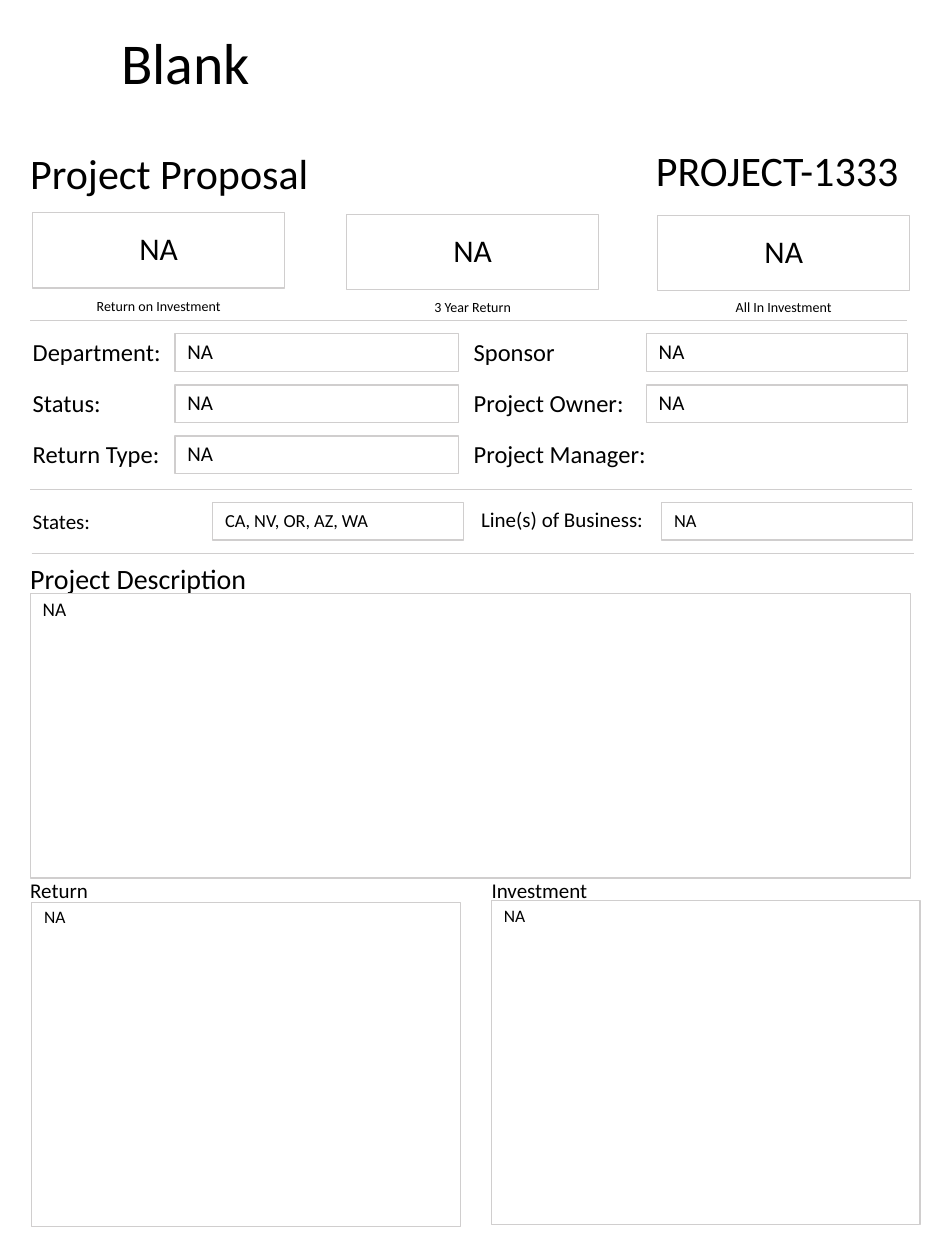
from lxml.etree import SubElement
from pptx import Presentation
from pptx.dml.color import RGBColor
from pptx.enum.shapes import MSO_CONNECTOR, MSO_SHAPE
from pptx.enum.text import MSO_ANCHOR, PP_ALIGN
from pptx.oxml.ns import qn
from pptx.util import Cm, Pt

COLORS = {"text": "000000", "border": "D0CECE"}
FONT = "Calibri"

TITLE = "Blank"
PROPOSAL, PROJECT_CODE = "Project Proposal", "PROJECT-1333"

# caption, value, left, top, caption top
METRICS = [
    ("Return on Investment", "NA", 0.66, 4.29, 5.87),
    ("3 Year Return", "NA", 6.99, 4.32, 5.89),
    ("All In Investment", "NA", 13.26, 4.34, 5.89),
]
# label left, field left, field width, rows of label and value
DETAILS = [
    (0.66, 3.53, 5.72, [("Department:", "NA"), ("Status:", "NA"), ("Return Type:", "NA")]),
    (9.55, 13.03, 5.26, [("Sponsor", "NA"), ("Project Owner:", "NA"), ("Project Manager:", None)]),
]
# label, label left, label top, value, field left
SCOPES = [
    ("States:", 0.66, 10.26, "CA, NV, OR, AZ, WA", 4.29),
    ("Line(s) of Business:", 9.7, 10.21, "NA", 13.34),
]
# heading, heading size, heading left, heading top, value, value size, field box
SECTIONS = [
    ("Project Description", 16, 0.61, 11.33, "NA", 11, (0.61, 11.96, 17.75, 5.74)),
    ("Return", 12, 0.61, 17.7, "NA", 10, (0.64, 18.19, 8.64, 6.53)),
    ("Investment", 12, 9.91, 17.7, "NA", 10, (9.91, 18.16, 8.64, 6.53)),
]
# left, right, top
DIVIDERS = [(0.61, 18.29, 6.45), (0.61, 18.39, 9.86), (0.64, 18.42, 11.15)]

DETAIL_TOP, DETAIL_PITCH, LABEL_DROP = 6.73, 1.03, 0.07
FIELD_HEIGHT, LABEL_WIDTH = 0.76, 3.81
METRIC_WIDTH, METRIC_HEIGHT = 5.08, 1.52


def write(shape, text, size, align=PP_ALIGN.LEFT, anchor=MSO_ANCHOR.TOP, inset=True, spacing=0.9):
    """Fill a shape with one formatted paragraph."""
    frame = shape.text_frame
    frame.text = text
    frame.word_wrap = True
    frame.vertical_anchor = anchor
    frame.margin_left = frame.margin_right = Cm(0.25 if inset else 0)
    frame.margin_top = frame.margin_bottom = Cm(0.13 if inset else 0)
    paragraph = frame.paragraphs[0]
    paragraph.alignment = align
    paragraph.line_spacing = spacing
    font = paragraph.runs[0].font
    font.name, font.size = FONT, Pt(size)
    font.color.rgb = RGBColor.from_string(COLORS["text"])


def add_label(slide, text, box, size, **style):
    """Add plain text in a box given in centimetres."""
    label = slide.shapes.add_textbox(*map(Cm, box))
    write(label, text, size, **{"inset": False, "spacing": 1.0, **style})


def add_field(slide, text, box, size, **style):
    """Add an outlined field in a box given in centimetres."""
    field = slide.shapes.add_shape(MSO_SHAPE.RECTANGLE, *map(Cm, box))
    field.shadow.inherit = False
    field.fill.background()
    field.line.color.rgb = RGBColor.from_string(COLORS["border"])
    field.line.width = Pt(0.75)
    write(field, text, size, **style)


def add_divider(slide, left, right, top):
    """Add a thin horizontal rule."""
    divider = slide.shapes.add_connector(MSO_CONNECTOR.STRAIGHT, Cm(left), Cm(top), Cm(right), Cm(top))
    divider.line.color.rgb = RGBColor.from_string(COLORS["border"])
    divider.line.width = Pt(0.5)
    SubElement(divider._element.spPr, qn("a:effectLst"))


def main():
    """Build the project proposal form."""
    deck = Presentation()
    deck.slide_width, deck.slide_height = Cm(19.05), Cm(25.4)
    slide = deck.slides.add_slide(deck.slide_layouts[5])
    middle = MSO_ANCHOR.MIDDLE

    title = slide.shapes.title
    title.left, title.top, title.width, title.height = map(Cm, (2.44, 0.69, 15.88, 1.27))
    write(title, TITLE, 33, anchor=middle, inset=False)

    add_label(slide, PROPOSAL, (0.61, 2.97, 8.64, 1.02), 24)
    add_label(slide, PROJECT_CODE, (9.8, 2.97, 8.56, 1.02), 24,
              align=PP_ALIGN.RIGHT, anchor=middle, inset=True, spacing=0.9)

    for divider in DIVIDERS:
        add_divider(slide, *divider)

    for caption, value, left, top, caption_top in METRICS:
        add_field(slide, value, (left, top, METRIC_WIDTH, METRIC_HEIGHT), 18,
                  align=PP_ALIGN.CENTER, anchor=middle)
        add_label(slide, caption, (left, caption_top, METRIC_WIDTH, 0.51), 8,
                  align=PP_ALIGN.CENTER, inset=True)

    for label_left, field_left, field_width, rows in DETAILS:
        for row, (label, value) in enumerate(rows):
            top = DETAIL_TOP + row * DETAIL_PITCH
            add_label(slide, label, (label_left, top + LABEL_DROP, LABEL_WIDTH, 0.61), 14)
            if value:
                add_field(slide, value, (field_left, top, field_width, FIELD_HEIGHT), 12, anchor=middle)

    for label, label_left, label_top, value, field_left in SCOPES:
        add_label(slide, label, (label_left, label_top, LABEL_WIDTH, 0.51), 12)
        add_field(slide, value, (field_left, 10.13, 5.05, FIELD_HEIGHT), 10.5, anchor=middle)

    for heading, heading_size, left, top, value, size, box in SECTIONS:
        add_label(slide, heading, (left, top, 8.64, box[1] - top), heading_size)
        add_field(slide, value, box, size)

    deck.save("out.pptx")


if __name__ == "__main__":
    main()
